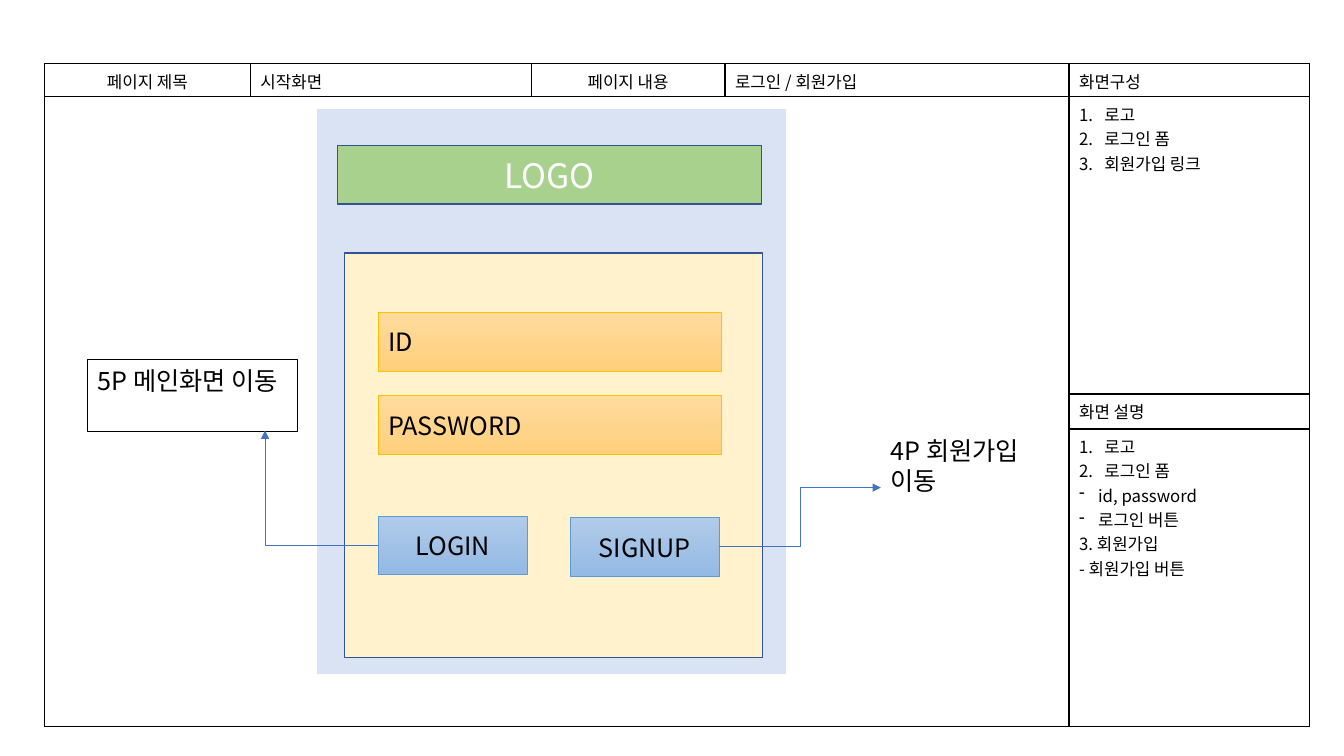
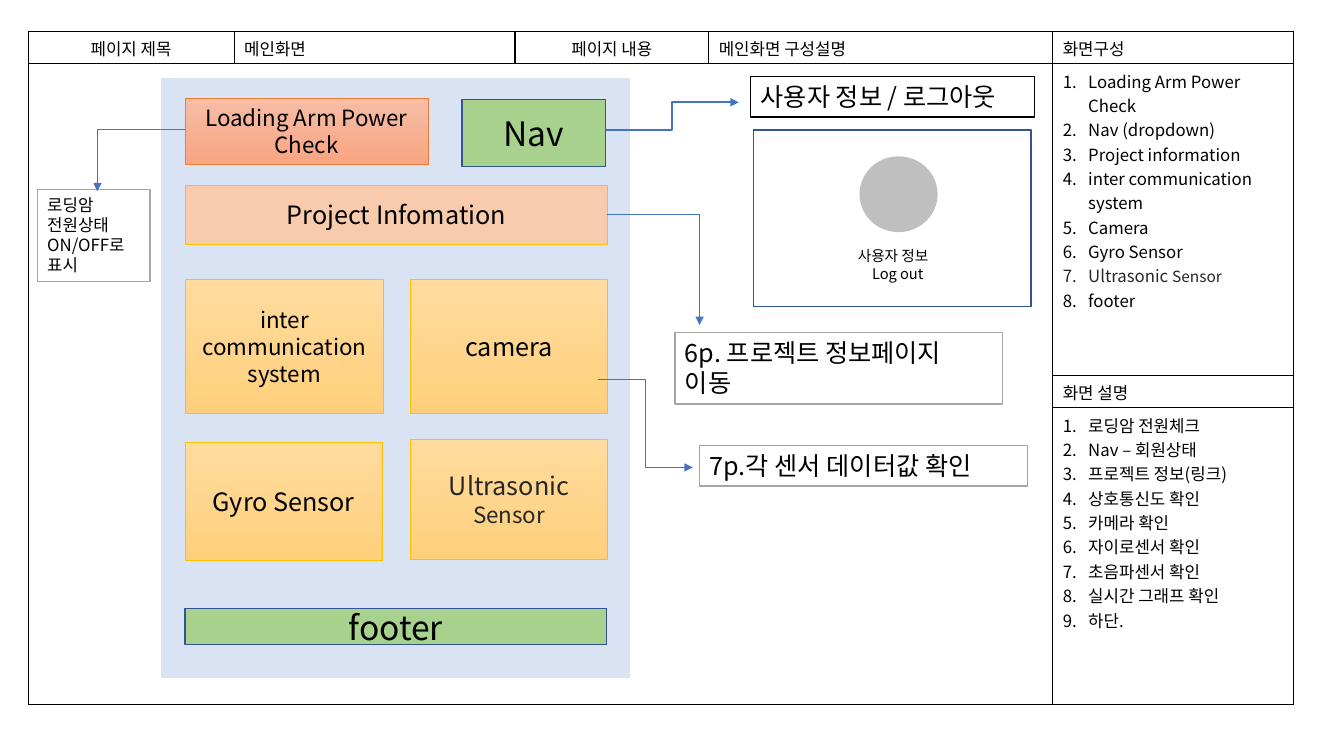
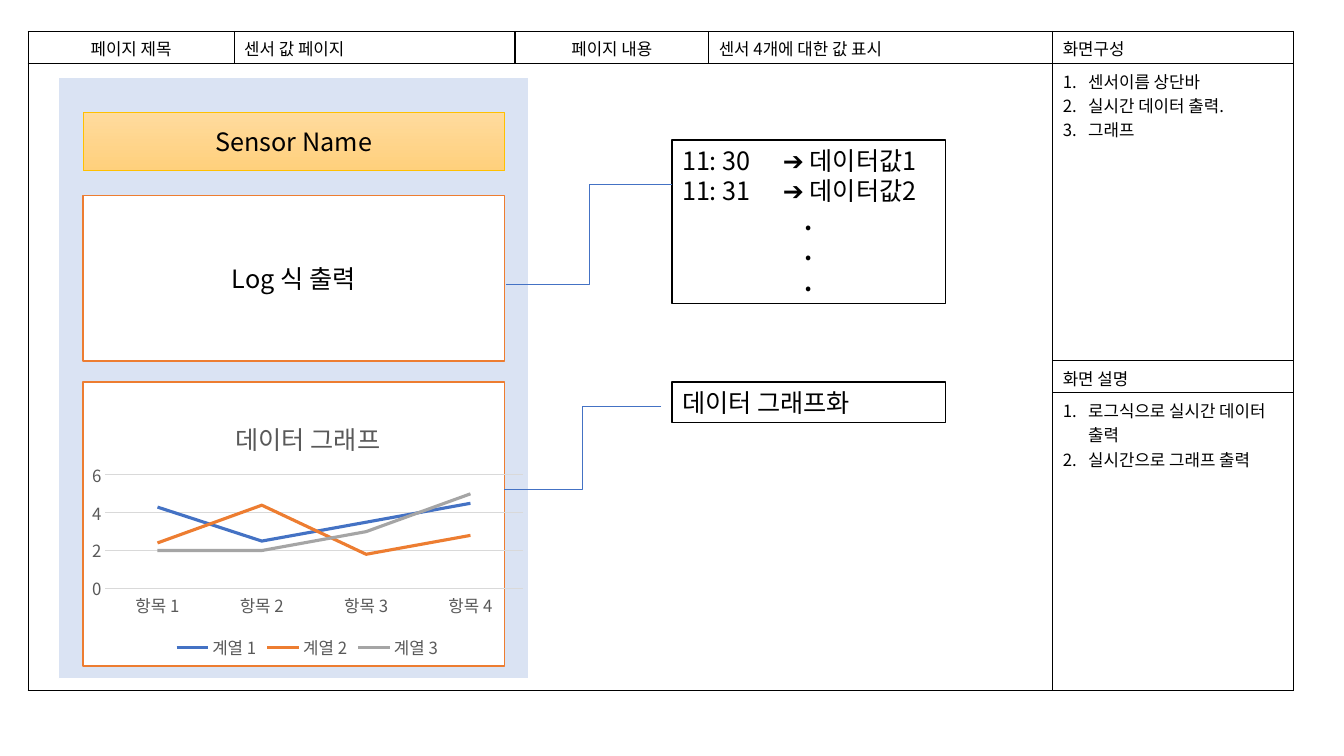
from lxml import etree
from pptx import Presentation
from pptx import util as u
from pptx.chart import data as chart_data
from pptx.dml import color
from pptx.enum import chart as charts, shapes, text
from pptx.oxml import ns

FONT = "Noto Sans CJK KR"
BLACK, WHITE, GREY, BLUE = "000000", "FFFFFF", "595959", "4472C4"
NAVY, GREEN, ORANGE, GOLD, SILVER = "325491", "A9D18E", "ED7D31", "FFC000", "A5A5A5"
AMBER = ("FFDB9E", "FFD07C")
COLUMNS = (5.19, 7.08, 4.88, 8.67, 6.07)

# A pair of colours is a gradient from top to bottom.
BASE = dict(fill=None, line=None, width=1, size=18, align="CENTER", anchor="MIDDLE",
            shape="RECTANGLE")
NOTE = dict(BASE, align="LEFT", anchor="TOP")
STYLES = {
    "panel": dict(BASE, fill="DAE3F3", line=WHITE),
    "bar": dict(BASE, fill=GREEN, line=NAVY, size=24),
    "form": dict(BASE, fill="FFF2CC", line=NAVY),
    "field": dict(BASE, fill=AMBER, line=GOLD, width=0.5, align="LEFT"),
    "tile": dict(BASE, fill=AMBER, line=GOLD, width=0.5),
    "button": dict(BASE, fill=("B1CBE9", "93B9E4"), line="5B9BD5", width=0.5),
    "power": dict(BASE, fill=("F7BDA5", "F8A582"), line=ORANGE, width=0.5, size=16),
    "project": dict(BASE, fill="F8CBAD", line=GOLD, width=0.5),
    "output": dict(BASE, fill=WHITE, line=ORANGE),
    "card": dict(BASE, fill=WHITE, line=NAVY),
    "avatar": dict(BASE, fill="BFBFBF", shape="OVAL"),
    "plain": NOTE,
    "caption": dict(NOTE, size=10.5),
    "thin note": dict(NOTE, line=BLACK, width=0.75),
    "black note": dict(NOTE, fill=WHITE, line=BLACK),
    "grey note": dict(NOTE, fill=WHITE, line=SILVER),
    "small note": dict(NOTE, fill=WHITE, line=SILVER, size=12),
}


def line(*runs, **options):
    """Describe a paragraph: runs are (text, format) pairs."""
    return dict(options, runs=runs)


def numbered(*items):
    """Describe paragraphs of a numbered list."""
    return [line((item, {})) | {"bullet": "1."} if isinstance(item, str)
            else item | {"bullet": "1."} for item in items]


def dashed(*items):
    """Describe paragraphs of a dashed list."""
    return [line((item, {}), bullet="-") for item in items]


DOT = line((".", {"bold": True}), align="CENTER")

# boxes: style, (left, top, width, height), paragraphs
# arrows: start, end, bend ("corner" or percent), line width, arrowhead
SLIDES = [
    dict(
        corner=(1.12, 1.6), rows=(0.84, 7.49, 0.88, 7.49),
        head=("시작화면", "로그인 / 회원가입"),
        parts=numbered("로고", "로그인 폼", "회원가입 링크"),
        notes=numbered("로고", "로그인 폼") + dashed("id, password", "로그인 버튼")
        + ["3. 회원가입", "- 회원가입 버튼"],
        boxes=[
            ("panel", (7.98, 2.74, 11.86, 14.27), []),
            ("bar", (8.51, 3.66, 10.69, 1.48), [line(("LOGO", {"color": WHITE}))]),
            ("form", (8.69, 6.38, 10.52, 10.19), []),
            ("field", (9.53, 7.87, 8.64, 1.48), ["ID"]),
            ("field", (9.53, 9.97, 8.64, 1.48), ["PASSWORD"]),
            ("button", (9.53, 13, 3.76, 1.48), ["LOGIN"]),
            ("button", (14.37, 13.05, 3.76, 1.48), ["SIGNUP"]),
            ("plain", (22.2, 10.85, 4.37, 1.8), ["4P 회원가입 이동"]),
            ("thin note", (2.21, 9.07, 5.29, 1.8), ["5P 메인화면 이동"]),
        ],
        arrows=[
            ((18.12, 13.77), (22.2, 12.29), 50, 0.5, True),
            ((9.53, 13.74), (6.68, 10.85), "corner", 0.5, True),
        ],
    ),
    dict(
        corner=(0.71, 0.79), rows=(0.81, 7.86, 0.81, 7.49),
        head=("메인화면", "메인화면 구성설명"),
        parts=numbered(
            "Loading Arm Power Check", "Nav (dropdown)", "Project information",
            "inter communication system", "Camera", "Gyro Sensor",
            line(("Ultrasonic ", {"color": "262626"}),
                 ("Sensor", {"color": "262626", "size": 11})),
            "footer"),
        notes=numbered(
            "로딩암 전원체크", "Nav – 회원상태", "프로젝트 정보(링크)", "상호통신도 확인",
            "카메라 확인", "자이로센서 확인", "초음파센서 확인", "실시간 그래프 확인", "하단."),
        boxes=[
            ("panel", (4.03, 1.96, 11.86, 15.14), []),
            ("bar", (11.64, 2.51, 3.62, 1.68), ["Nav"]),
            ("project", (4.68, 4.67, 10.63, 1.48), ["Project Infomation"]),
            ("tile", (4.68, 7.04, 4.98, 3.37),
             [line(("inter communication system", {"size": 16}))]),
            ("tile", (10.34, 7.04, 4.98, 3.37), ["camera"]),
            ("tile", (4.66, 11.15, 4.98, 2.97), ["Gyro Sensor"]),
            ("tile", (10.34, 11.07, 4.98, 3.02),
             [line(("Ultrasonic ", {"color": "262626"}),
                   ("Sensor", {"color": "262626", "size": 16}))]),
            ("power", (4.66, 2.47, 6.13, 1.68), ["Loading Arm Power Check"]),
            ("bar", (4.66, 15.34, 10.63, 0.9), ["footer"]),
            ("black note", (18.92, 1.93, 7.16, 1.02), ["사용자 정보 / 로그아웃"]),
            ("card", (18.99, 3.28, 6.99, 4.45), []),
            ("avatar", (21.66, 3.94, 1.97, 1.91), []),
            ("caption", (21.37, 6.1, 2.51, 1.14),
             ["사용자 정보", line(("Log out", {}), align="CENTER")]),
            ("grey note", (17.01, 8.38, 8.26, 1.8), ["6p. 프로젝트 정보페이지 이동"]),
            ("grey note", (17.63, 11.23, 8.26, 1.02), ["7p.각 센서 데이터값 확인"]),
            ("small note", (0.94, 4.78, 2.84, 2.31), ["로딩암 전원상태", "ON/OFF로 표시"]),
        ],
        arrows=[
            ((15.27, 3.28), (18.62, 2.58), 50, 1.5, True),
            ((15.29, 5.4), (17.63, 8.19), "corner", 0.5, True),
            ((15.08, 9.57), (17.46, 11.78), 50, 0.5, True),
            ((4.66, 3.25), (2.45, 4.82), 99.7, 0.5, True),
        ],
    ),
    dict(
        corner=(0.71, 0.79), rows=(0.81, 7.49, 0.81, 7.49),
        head=("센서 값 페이지", "센서 4개에 대한 값 표시"),
        parts=numbered("센서이름 상단바", "실시간 데이터 출력.", "그래프"),
        notes=numbered("로그식으로 실시간 데이터 출력", "실시간으로 그래프 출력"),
        boxes=[
            ("panel", (1.47, 1.96, 11.86, 15.14), []),
            ("tile", (2.09, 2.82, 10.63, 1.48), ["Sensor Name"]),
            ("output", (2.09, 4.93, 10.63, 4.17), ["Log 식 출력"]),
            ("output", (2.09, 9.63, 10.63, 7.15), []),
            ("black note", (16.94, 3.53, 6.89, 4.12),
             ["11: 30 \t➔ 데이터값1", "11: 31\t➔ 데이터값2", DOT, DOT, DOT]),
            ("black note", (16.94, 9.63, 6.89, 1.02), ["데이터 그래프화"]),
        ],
        arrows=[
            ((16.94, 4.65), (12.75, 7.16), 50, 0.5, False),
            ((16.66, 10.24), (12.71, 12.34), 50, 0.5, False),
        ],
        chart=dict(
            at=(2.09, 9.93, 11.31, 6.8), title="데이터 그래프",
            categories=["항목 1", "항목 2", "항목 3", "항목 4"],
            series=[("계열 1", (4.3, 2.5, 3.5, 4.5), BLUE),
                    ("계열 2", (2.4, 4.4, 1.8, 2.8), ORANGE),
                    ("계열 3", (2, 2, 3, 5), SILVER)],
            title_place=dict(x=0.33, y=0.07),
            plot_place=dict(x=0.05, y=0.3, w=0.93, h=0.42)),
    ),
]


def rgb(value):
    """Turn a hex string into a colour."""
    return color.RGBColor.from_string(value)


def cm(values):
    """Turn numbers into lengths."""
    return [u.Cm(v) for v in values]


def add(parent, tag, **attributes):
    """Append an XML element and return it."""
    return etree.SubElement(parent, ns.qn(tag), attributes)


def set_font(font, size, fore=BLACK, bold=False):
    """Format a font for Latin and Korean text."""
    for name, value in dict(size=u.Pt(size), bold=bold, name=FONT).items():
        setattr(font, name, value)
    font.color.rgb = rgb(fore)
    add(font._element, "a:ea", typeface=FONT)


def set_bullet(p, mark):
    """Give a paragraph a number or a dash on a hanging indent."""
    indent = u.Cm(0.64 if mark == "1." else 0.48)
    pPr = p._p.get_or_add_pPr()
    pPr.set("marL", str(indent))
    pPr.set("indent", str(-indent))
    if mark == "1.":
        add(pPr, "a:buAutoNum", type="arabicPeriod")
    else:
        add(pPr, "a:buChar", char=mark)


def write(tf, paragraphs, size, align="LEFT"):
    """Fill a text frame with paragraphs."""
    tf.word_wrap = True
    for i, item in enumerate(paragraphs):
        if isinstance(item, str):
            item = line((item, {}))
        p = tf.add_paragraph() if i else tf.paragraphs[0]
        p.alignment = getattr(text.PP_ALIGN, item.get("align", align))
        if "bullet" in item:
            set_bullet(p, item["bullet"])
        for words, look in item["runs"]:
            r = p.add_run()
            r.text = words
            set_font(r.font, look.get("size", size), look.get("color", BLACK),
                     look.get("bold", False))


def add_box(s, style, at, paragraphs):
    """Draw one shape in a named style."""
    look = STYLES[style]
    sp = s.shapes.add_shape(getattr(shapes.MSO_SHAPE, look["shape"]), *cm(at))
    sp.shadow.inherit = False
    if look["fill"] is None:
        sp.fill.background()
    elif isinstance(look["fill"], tuple):
        sp.fill.gradient()
        sp.fill.gradient_angle = 270
        for stop, value in zip(sp.fill.gradient_stops, look["fill"]):
            stop.color.rgb = rgb(value)
    else:
        sp.fill.solid()
        sp.fill.fore_color.rgb = rgb(look["fill"])
    if look["line"]:
        sp.line.color.rgb = rgb(look["line"])
        sp.line.width = u.Pt(look["width"])
    else:
        sp.line.fill.background()
    sp.text_frame.vertical_anchor = getattr(text.MSO_ANCHOR, look["anchor"])
    write(sp.text_frame, paragraphs, look["size"], look["align"])


def add_arrow(s, start, end, bend, width, head):
    """Draw a bent connector; a leftward one is stored as a half turn."""
    link = s.shapes.add_connector(shapes.MSO_CONNECTOR.ELBOW, *cm(start + end))
    link.line.color.rgb = rgb(BLUE)
    link.line.width = u.Pt(width)
    spPr = link._element.spPr
    if end[0] < start[0]:
        xfrm = spPr.find(ns.qn("a:xfrm"))
        xfrm.set("rot", "10800000")
        xfrm.set("flipH", "0")
        xfrm.set("flipV", "1" if end[1] > start[1] else "0")
    geometry = spPr.find(ns.qn("a:prstGeom"))
    if bend == "corner":
        geometry.set("prst", "bentConnector2")
    else:
        add(geometry.find(ns.qn("a:avLst")), "a:gd", name="adj1",
            fmla=f"val {round(bend * 1000)}")
    if head:
        add(spPr.find(ns.qn("a:ln")), "a:tailEnd", type="triangle")
    add(spPr, "a:effectLst")


def set_borders(cell):
    """Give a cell thin black borders and no fill."""
    tcPr = cell._tc.get_or_add_tcPr()
    for side in "LRTB":
        ln = add(tcPr, f"a:ln{side}", w=str(u.Pt(1)))
        add(add(ln, "a:solidFill"), "a:srgbClr", val=BLACK)
    cell.fill.background()


def add_frame(s, page):
    """Draw the page table: header, canvas and the two side lists."""
    rows = page["rows"]
    size = (sum(COLUMNS), sum(rows))
    table = s.shapes.add_table(4, 5, *cm(page["corner"] + size)).table
    table.first_row = table.horz_banding = False
    for column, width in zip(table.columns, COLUMNS):
        column.width = u.Cm(width)
    for row, height in zip(table.rows, rows):
        row.height = u.Cm(height)
    for cell in table.iter_cells():
        set_borders(cell)
        cell.margin_bottom = u.Cm(0.04)
        set_font(cell.text_frame.paragraphs[0].font, 12)
    table.cell(1, 0).merge(table.cell(3, 3))
    title, content = page["head"]
    labels = {(0, 0): ["페이지 제목"], (0, 1): [title], (0, 2): ["페이지 내용"],
              (0, 3): [content], (0, 4): ["화면구성"], (1, 4): page["parts"],
              (2, 4): ["화면 설명"], (3, 4): page["notes"]}
    for (row, column), paragraphs in labels.items():
        align = "CENTER" if column in (0, 2) else "LEFT"
        write(table.cell(row, column).text_frame, paragraphs, 12, align)


def place(parent, layout, **modes):
    """Give a chart part a fixed place, in fractions of the chart."""
    old = parent.find(ns.qn("c:layout"))
    if old is not None:
        parent.remove(old)
    box = etree.Element(ns.qn("c:layout"))
    manual = add(box, "c:manualLayout")
    for name, value in (modes | dict(xMode="edge", yMode="edge") | layout).items():
        add(manual, f"c:{name}", val=str(value))
    tx = parent.find(ns.qn("c:tx"))
    parent.insert(0 if tx is None else 1, box)


def add_graph(s, graph):
    """Draw the line chart."""
    data = chart_data.CategoryChartData()
    data.categories = graph["categories"]
    for name, values, _ in graph["series"]:
        data.add_series(name, values)
    chart = s.shapes.add_chart(charts.XL_CHART_TYPE.LINE, *cm(graph["at"]), data).chart
    set_font(chart.font, 10)
    p = chart.chart_title.text_frame.paragraphs[0]
    r = p.add_run()
    r.text = graph["title"]
    set_font(r.font, 18, GREY)
    chart.chart_title.include_in_layout = False
    place(chart.chart_title._element, graph["title_place"])
    place(chart._chartSpace.chart.plotArea, graph["plot_place"], layoutTarget="inner")
    chart.has_legend = True
    chart.legend.position = charts.XL_LEGEND_POSITION.BOTTOM
    chart.legend.include_in_layout = False
    set_font(chart.legend.font, 12, GREY)
    for axis in (chart.category_axis, chart.value_axis):
        axis.major_tick_mark = charts.XL_TICK_MARK.NONE
        set_font(axis.tick_labels.font, 12, GREY)
    value_axis = chart.value_axis
    for name, value in dict(minimum_scale=0, maximum_scale=6, major_unit=2).items():
        setattr(value_axis, name, value)
    value_axis.format.line.fill.background()
    for rule in (chart.category_axis.format.line, value_axis.major_gridlines.format.line):
        rule.color.rgb = rgb("D9D9D9")
        rule.width = u.Pt(0.75)
    chart.plots[0].vary_by_categories = False
    for series, (_, _, fore) in zip(chart.plots[0].series, graph["series"]):
        series.smooth = False
        series.marker.style = charts.XL_MARKER_STYLE.NONE
        series.format.line.color.rgb = rgb(fore)
        series.format.line.width = u.Pt(2.25)


prs = Presentation()
prs.slide_width, prs.slide_height = cm((33.87, 19.05))
for page in SLIDES:
    s = prs.slides.add_slide(prs.slide_layouts[6])
    add_frame(s, page)
    for box in page["boxes"]:
        add_box(s, *box)
    for arrow in page["arrows"]:
        add_arrow(s, *arrow)
    if "chart" in page:
        add_graph(s, page["chart"])
prs.save("out.pptx")
